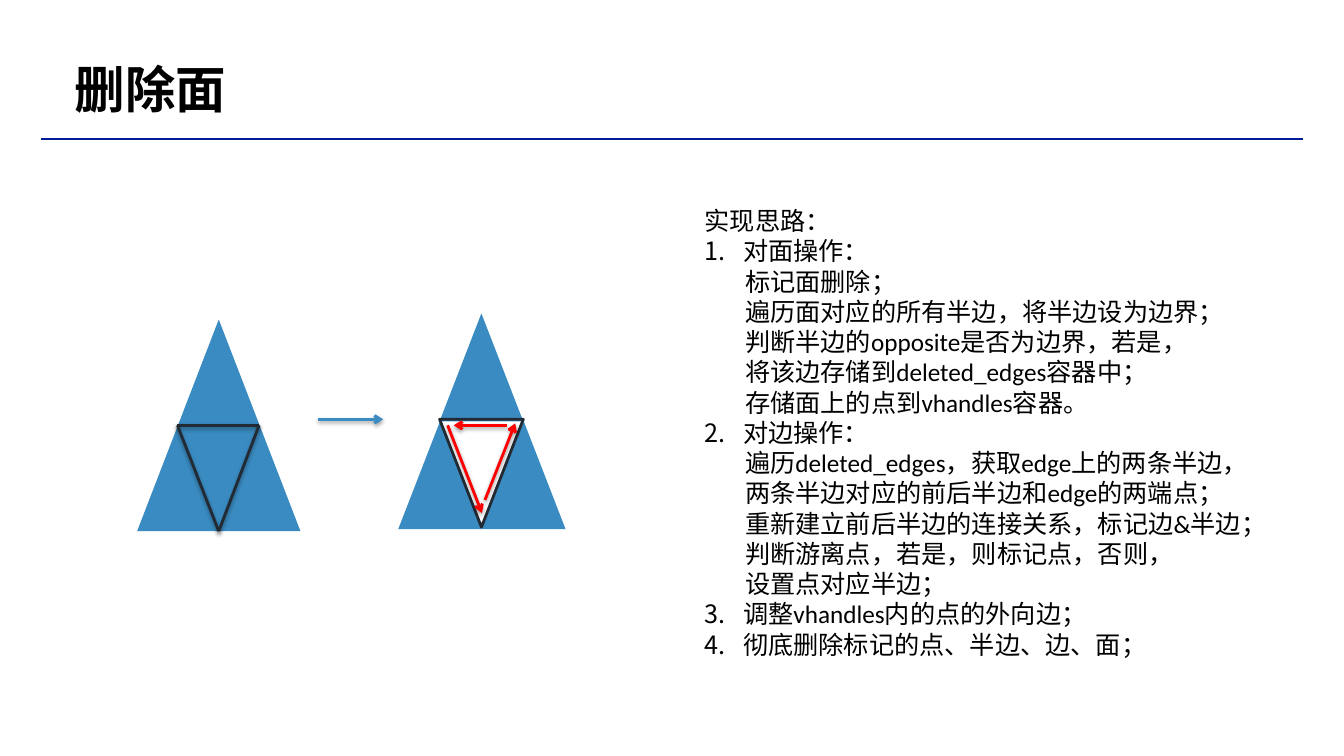
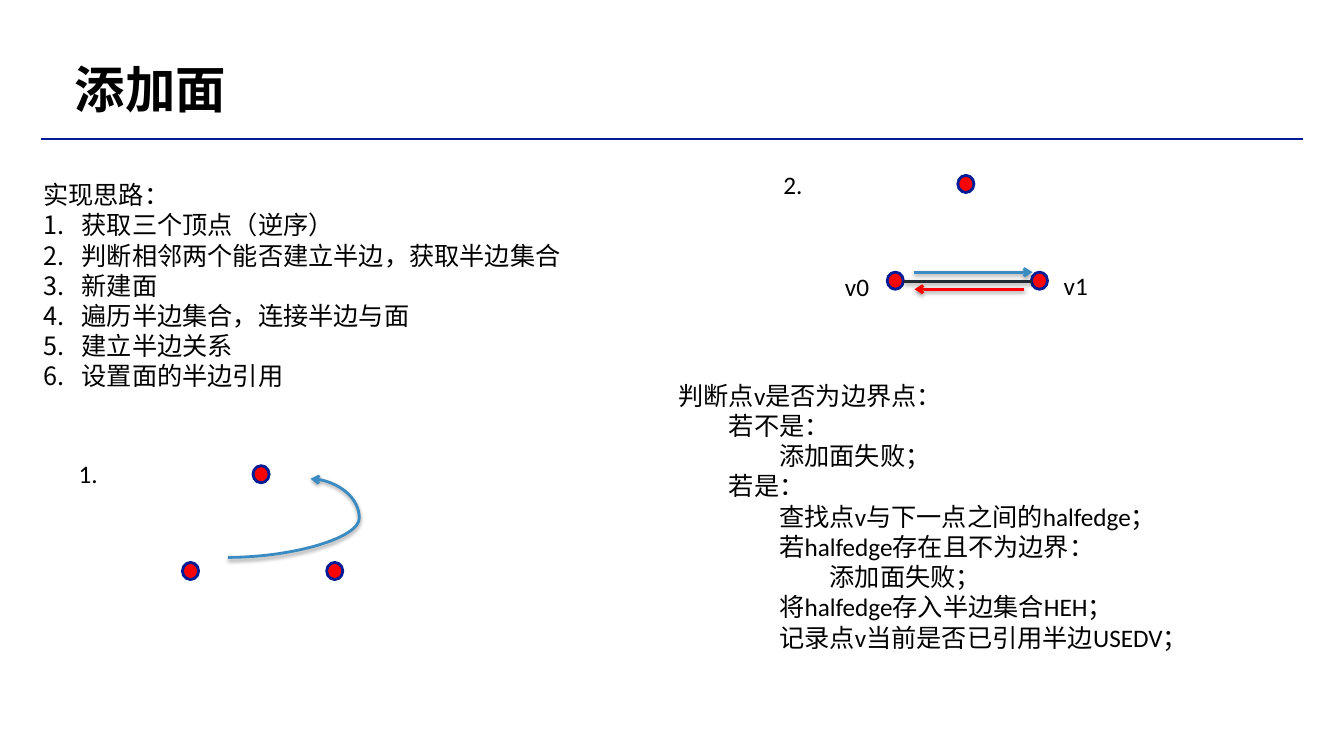
from lxml import etree
from pptx import Presentation
from pptx import util as u
from pptx.dml.color import RGBColor
from pptx.enum import shapes, text
from pptx.oxml import ns

PX = 9144  # 100 px to the inch
FONT = "Calibri"
BLACK = RGBColor(0x00, 0x00, 0x00)
NAVY = RGBColor(0x01, 0x1C, 0x96)
BLUE = RGBColor(0x3A, 0x8B, 0xC1)
DARK = RGBColor(0x22, 0x2A, 0x34)
RED = RGBColor(0xFF, 0x00, 0x00)

TITLE_BOX = (69, 58, 763, 66)
MARGINS = {f"margin_{side}": 5 * PX for side in ("left", "top", "right", "bottom")}
TITLE_FRAME = {**MARGINS, "word_wrap": True, "auto_size": text.MSO_AUTO_SIZE.NONE,
               "vertical_anchor": text.MSO_ANCHOR.MIDDLE}
BODY_FRAME = {**MARGINS, "word_wrap": True, "vertical_anchor": text.MSO_ANCHOR.TOP}
TITLE_FONT = {"name": FONT, "size": u.Pt(36), "bold": True}
BODY_FONT = {"name": FONT, "size": u.Pt(18), "bold": False}
TITLE_PARAGRAPH = {"alignment": text.PP_ALIGN.LEFT, "line_spacing": u.Pt(39)}
BODY_PARAGRAPH = {"alignment": text.PP_ALIGN.LEFT, "line_spacing": u.Pt(21.6)}
NUMBER_INDENT = 38
STEP_INDENT = 40
CODE_INDENT = 50


def emu(*lengths):
    return [u.Emu(length * PX) for length in lengths]


def set_values(target, values):
    for name, value in values.items():
        setattr(target, name, value)


def add_child(parent, tag, **attributes):
    return etree.SubElement(parent, ns.qn(tag), attributes)


def format_paragraph(paragraph, values, font):
    set_values(paragraph, values)
    set_values(paragraph.font, font)
    paragraph.font.color.rgb = BLACK


def plain(words, indent=0):
    return words, indent, None


def numbered(words, start=1):
    return words, NUMBER_INDENT, start


def add_text(slide, box, items):
    """Write items of (words, indent, first number or None), one a paragraph."""
    frame = slide.shapes.add_textbox(*emu(*box)).text_frame
    set_values(frame, BODY_FRAME)
    for index, (words, indent, start) in enumerate(items):
        paragraph = frame.add_paragraph() if index else frame.paragraphs[0]
        paragraph.text = words
        properties = paragraph._p.get_or_add_pPr()
        properties.set("marL", str(indent * PX))
        if start is not None:
            properties.set("indent", str(-indent * PX))
            add_child(properties, "a:buAutoNum", type="arabicPeriod", startAt=str(start))
        format_paragraph(paragraph, BODY_PARAGRAPH, BODY_FONT)


def add_figure(slide, kind, box, fill=None, line=None):
    shape = slide.shapes.add_shape(kind, *emu(*box))
    shape.shadow.inherit = False
    if fill is None:
        shape.fill.background()
    else:
        shape.fill.solid()
        shape.fill.fore_color.rgb = fill
    if line is None:
        shape.line.fill.background()
    else:
        shape.line.color.rgb = line
        shape.line.width = u.Pt(2)
    return shape


def add_triangle(slide, box, fill=None, line=None):
    return add_figure(slide, shapes.MSO_SHAPE.ISOSCELES_TRIANGLE, box, fill, line)


def add_line(slide, start, end, color, arrow=False, shadow=True, width=2,
             kind=shapes.MSO_CONNECTOR.STRAIGHT):
    line = slide.shapes.add_connector(kind, *emu(*start, *end))
    line.line.color.rgb = color
    line.line.width = u.Pt(width)
    properties = line.element.spPr
    if arrow:
        add_child(properties.find(ns.qn("a:ln")), "a:tailEnd", type="arrow")
    effects = add_child(properties, "a:effectLst")
    if shadow:
        outer = add_child(effects, "a:outerShdw", blurRad=str(u.Pt(3)),
                          dist=str(u.Pt(1.6)), dir="5400000", rotWithShape="0")
        black = add_child(outer, "a:srgbClr", val=str(BLACK))
        add_child(black, "a:alpha", val="38000")
    return line


def add_curve(slide, start, end, bulge):
    """Draw a curved arrow; bulge is its bend as a share of its width."""
    curve = add_line(slide, start, end, BLUE, arrow=True, kind=shapes.MSO_CONNECTOR.CURVE)
    geometry = curve.element.spPr.find(ns.qn("a:prstGeom"))
    adjustments = geometry.find(ns.qn("a:avLst"))
    if adjustments is None:
        adjustments = add_child(geometry, "a:avLst")
    add_child(adjustments, "a:gd", name="adj1", fmla=f"val {round(bulge * 100000)}")


def add_vertices(slide, left, top):
    """Draw the three corner dots of a face, given the place of the upper one."""
    for across, down in ((0, 0), (73, 96), (-70, 96)):
        add_figure(slide, shapes.MSO_SHAPE.OVAL, (left + across, top + down, 16, 17), RED, NAVY)


def add_titled_slide(presentation, title):
    slide = presentation.slides.add_slide(presentation.slide_layouts[5])
    shape = slide.shapes.title
    set_values(shape, dict(zip(("left", "top", "width", "height"), emu(*TITLE_BOX))))
    set_values(shape.text_frame, TITLE_FRAME)
    shape.text_frame.text = title
    format_paragraph(shape.text_frame.paragraphs[0], TITLE_PARAGRAPH, TITLE_FONT)
    return slide


def move_rule_to_layout(slide):
    rule = add_line(slide, (41, 138), (1292, 138), NAVY, shadow=False, width=1.5)
    slide.slide_layout.shapes.element.append(rule.element)


def fill_delete_face(slide):
    for left, top in ((395, 418), (436, 311), (478, 418)):
        add_triangle(slide, (left, top, 83, 107), fill=BLUE)
    add_triangle(slide, (436, 416, 83, 107), line=DARK).rotation = 180

    add_triangle(slide, (136, 317, 162, 210), fill=BLUE)
    left, right, bottom = (176, 422), (257, 422), (217, 527)
    for start, end in ((left, right), (left, bottom), (right, bottom)):
        add_line(slide, start, end, DARK)

    add_line(slide, (315, 416), (380, 416), BLUE, arrow=True)
    for start, end in (((444, 422), (478, 509)), ((481, 496), (511, 420)),
                       ((503, 422), (450, 422))):
        add_line(slide, start, end, RED, arrow=True)

    face_steps = ("标记面删除；", "遍历面对应的所有半边，将半边设为边界；",
                  "判断半边的opposite是否为边界，若是，", "将该边存储到deleted_edges容器中；",
                  "存储面上的点到vhandles容器。")
    edge_steps = ("遍历deleted_edges，获取edge上的两条半边，", "两条半边对应的前后半边和edge的两端点；",
                  "重新建立前后半边的连接关系，标记边&半边；", "判断游离点，若是，则标记点，否则，",
                  "设置点对应半边；")
    add_text(slide, (694, 199, 584, 464), [
        plain("实现思路："),
        numbered("对面操作："),
        *(plain(step, STEP_INDENT) for step in face_steps),
        numbered("对边操作：", 2),
        *(plain(step, STEP_INDENT) for step in edge_steps),
        numbered("调整vhandles内的点的外向边；", 3),
        numbered("彻底删除标记的点、半边、边、面；", 3),
    ])


def fill_add_face(slide):
    steps = ("获取三个顶点（逆序）", "判断相邻两个能否建立半边，获取半边集合", "新建面",
             "遍历半边集合，连接半边与面", "建立半边关系", "设置面的半边引用")
    add_text(slide, (38, 173, 556, 222), [plain("实现思路："), *map(numbered, steps)])

    add_vertices(slide, 950, 174)
    add_vertices(slide, 251, 462)
    for label, left, top, width in (("1.", 73, 450, 61), ("2.", 772, 163, 61),
                                    ("v0", 833, 264, 41), ("v1", 1050, 263, 41)):
        add_text(slide, (left, top, width, 40), [plain(label)])

    add_line(slide, (897, 279), (1024, 279), DARK)
    add_line(slide, (907, 270), (1024, 270), BLUE, arrow=True)
    add_line(slide, (1016, 287), (907, 287), RED, arrow=True)
    add_curve(slide, (226, 553), (308, 475), 1.59)

    code = ((0, "判断点v是否为边界点："), (1, "若不是："), (2, "添加面失败；"), (1, "若是："),
            (2, "查找点v与下一点之间的halfedge；"), (2, "若halfedge存在且不为边界："),
            (3, "添加面失败；"), (2, "将halfedge存入半边集合HEH；"),
            (2, "记录点v当前是否已引用半边USEDV；"))
    add_text(slide, (668, 372, 557, 283),
             [plain(words, level * CODE_INDENT) for level, words in code])


def main():
    presentation = Presentation()
    presentation.slide_width, presentation.slide_height = emu(1333, 750)
    delete_face = add_titled_slide(presentation, "删除面")
    move_rule_to_layout(delete_face)
    fill_delete_face(delete_face)
    fill_add_face(add_titled_slide(presentation, "添加面"))
    presentation.save("out.pptx")


if __name__ == "__main__":
    main()
